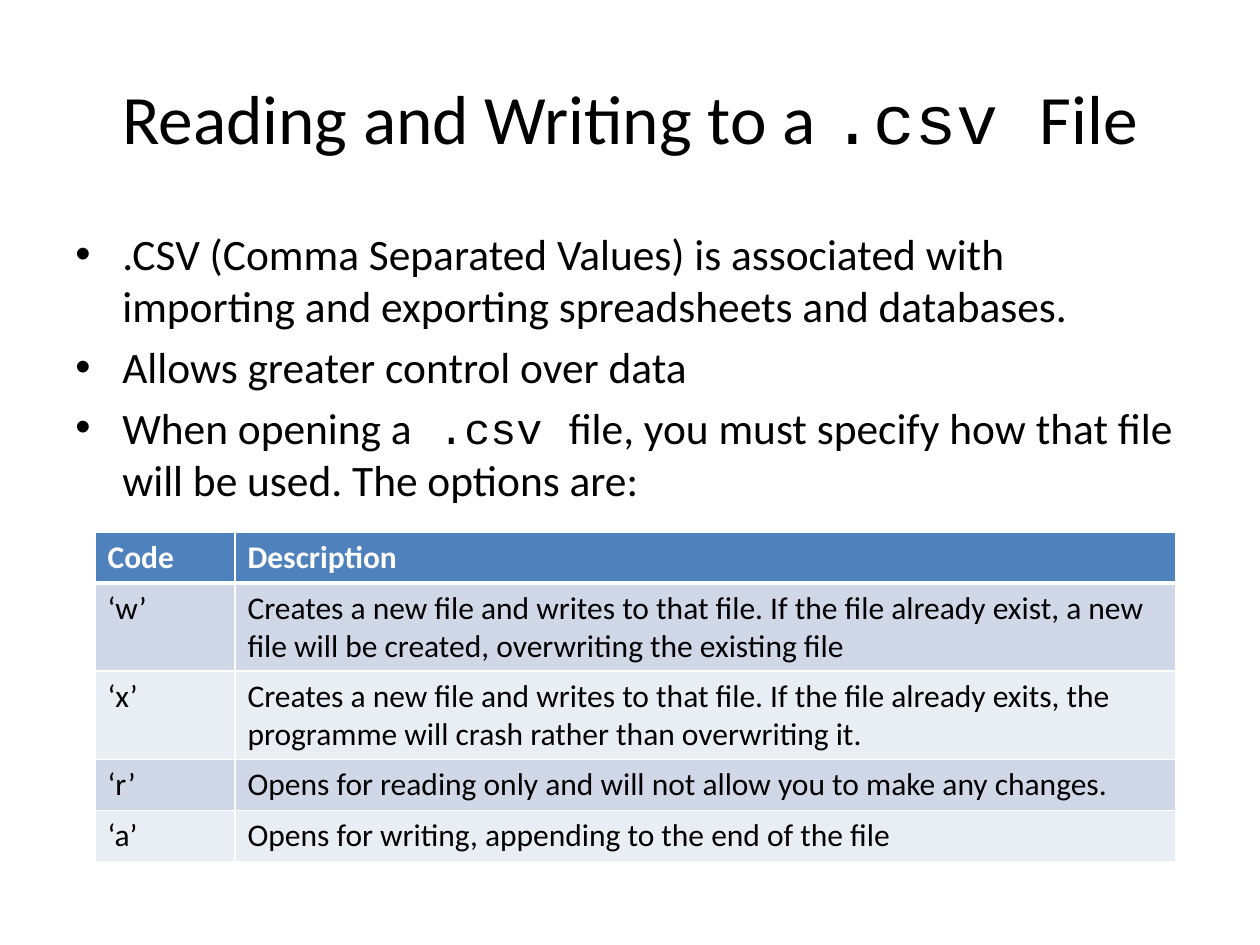
from dataclasses import dataclass

from lxml import etree
from pptx import Presentation
from pptx.dml.color import RGBColor
from pptx.enum.text import MSO_ANCHOR, PP_ALIGN
from pptx.oxml.ns import qn
from pptx.util import Pt

EMU_PER_PX = 914400 / 126
MIDDLE = MSO_ANCHOR.MIDDLE
CENTER = PP_ALIGN.CENTER
LEFT = PP_ALIGN.LEFT
TITLE_ONLY = 5


@dataclass(frozen=True)
class Theme:
    sans: str = "Calibri"
    mono: str = "Courier New"
    text: str = "000000"
    light: str = "FFFFFF"
    header: str = "4F81BD"
    bands: tuple = ("D0D8E8", "E9EDF4")
    title_size: float = 39.6
    body_size: float = 24.8
    cell_size: float = 18
    bullet_gap: float = 5


def px(n):
    return round(n * EMU_PER_PX)


def add_text(p, text, font, size, color, bold=False, align=LEFT):
    p.alignment = align
    r = p.add_run()
    r.text = text
    r.font.name = font
    r.font.size = Pt(size)
    r.font.bold = bold
    r.font.color.rgb = RGBColor.from_string(color)


class Deck:
    def __init__(self, theme, width, height):
        self.theme = theme
        self.prs = Presentation()
        self.prs.slide_width = px(width)
        self.prs.slide_height = px(height)
        self.s = None

    def slide(self):
        layout = self.prs.slide_layouts[TITLE_ONLY]
        self.s = self.prs.slides.add_slide(layout)

    def title(self, x, y, w, h, runs):
        t = self.theme
        sp = self.s.shapes.title
        sp.left, sp.top, sp.width, sp.height = map(px, (x, y, w, h))
        tf = sp.text_frame
        tf.vertical_anchor = MIDDLE
        for text, font in runs:
            add_text(tf.paragraphs[0], text, font, t.title_size, t.text,
                     align=CENTER)

    def bullets(self, x, y, w, h, items, indent):
        t = self.theme
        tf = self.s.shapes.add_textbox(*map(px, (x, y, w, h))).text_frame
        tf.word_wrap = True
        for i, runs in enumerate(items):
            p = tf.add_paragraph() if i else tf.paragraphs[0]
            p.space_before = Pt(t.bullet_gap)
            for text, font in runs:
                add_text(p, text, font, t.body_size, t.text)
            pPr = p._p.get_or_add_pPr()
            pPr.set("marL", str(px(indent)))
            pPr.set("indent", str(-px(indent)))
            etree.SubElement(pPr, qn("a:buFont"), typeface="Arial")
            etree.SubElement(pPr, qn("a:buChar"), char="•")

    def borders(self, cell, top, bottom):
        tcPr = cell._tc.get_or_add_tcPr()
        widths = {"a:lnL": 1, "a:lnR": 1, "a:lnT": top, "a:lnB": bottom}
        for i, (tag, width) in enumerate(widths.items()):
            ln = etree.Element(qn(tag), w=str(Pt(width)))
            fill = etree.SubElement(ln, qn("a:solidFill"))
            etree.SubElement(fill, qn("a:srgbClr"), val=self.theme.light)
            tcPr.insert(i, ln)

    def table(self, x, y, col_widths, row_height, rows):
        t = self.theme
        frame = self.s.shapes.add_table(
            len(rows), len(col_widths), px(x), px(y),
            px(sum(col_widths)), px(row_height * len(rows)))
        table = frame.table
        for col, width in zip(table.columns, col_widths):
            col.width = px(width)
        for i, row in enumerate(rows):
            head = i == 0
            fill = t.header if head else t.bands[(i - 1) % len(t.bands)]
            for j, text in enumerate(row):
                cell = table.cell(i, j)
                cell.fill.solid()
                cell.fill.fore_color.rgb = RGBColor.from_string(fill)
                self.borders(cell, 3 if i == 1 else 1, 3 if head else 1)
                add_text(cell.text_frame.paragraphs[0], text, t.sans,
                         t.cell_size, t.light if head else t.text, bold=head)


def main():
    theme = Theme()
    sans, mono = theme.sans, theme.mono
    deck = Deck(theme, 1260, 945)
    deck.slide()
    deck.title(63, 38, 1134, 157, [
        ("Reading and Writing to a ", sans), (".csv ", mono), ("File", sans)])
    deck.bullets(63, 221, 1134, 262, [
        [(".CSV (Comma Separated Values) is associated with importing and "
          "exporting spreadsheets and databases.", sans)],
        [("Allows greater control over data", sans)],
        [("When opening a", sans), (" .csv ", mono),
         ("file, you must specify how that file will be used. "
          "The options are:", sans)],
    ], indent=47)
    deck.table(95, 532, (140, 941), 51, [
        ("Code", "Description"),
        ("‘w’", "Creates a new file and writes to that file. If the file "
                "already exist, a new file will be created, overwriting the "
                "existing file"),
        ("‘x’", "Creates a new file and writes to that file. If the file "
                "already exits, the programme will crash rather than "
                "overwriting it."),
        ("‘r’", "Opens for reading only and will not allow you to make any "
                "changes."),
        ("‘a’", "Opens for writing, appending to the end of the file"),
    ])
    deck.prs.save("out.pptx")


if __name__ == "__main__":
    main()
